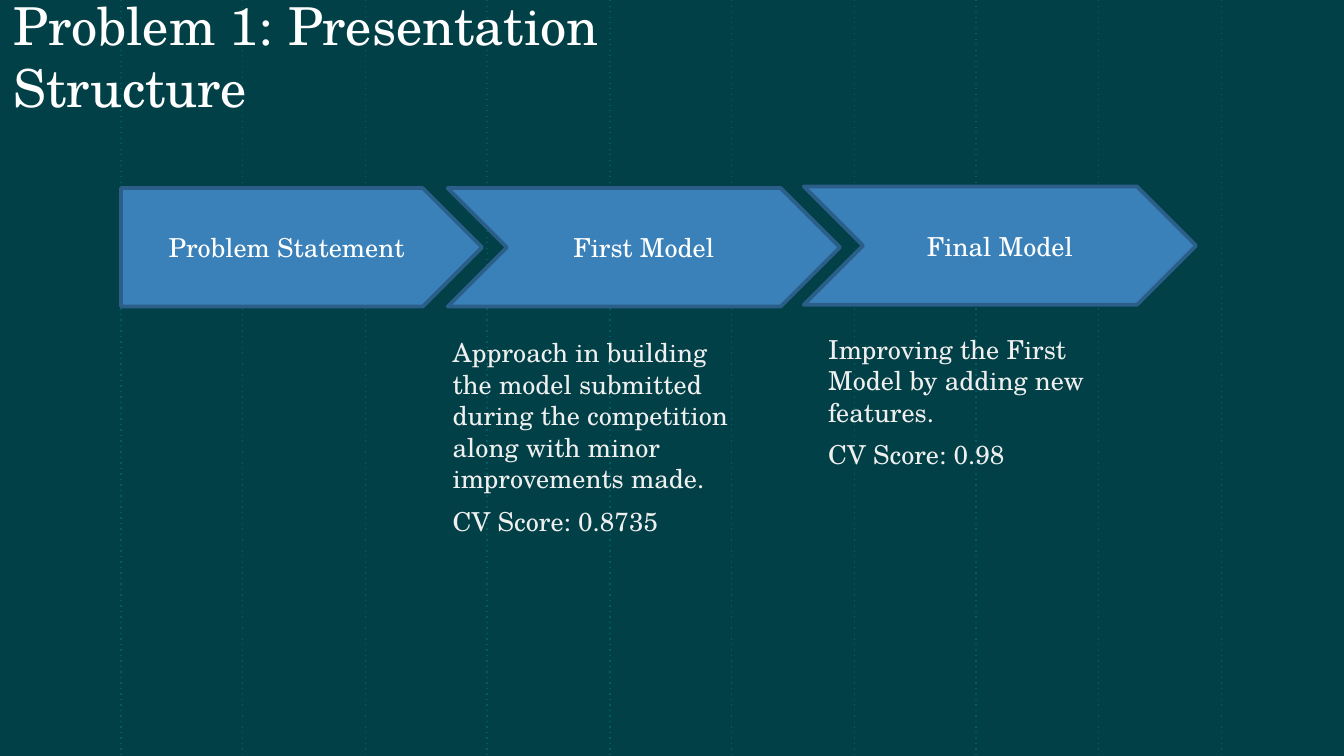
import pptx
import pptx.util
import pptx.dml.color
import pptx.enum.dml
import pptx.enum.shapes
import pptx.enum.text
import pptx.oxml.ns
import lxml.etree

EMU_PER_PX = 5715
FONT = "TeX Gyre Schola"
BACKGROUND = "004046"
GUIDE = "005C65"
STEP_FILL = "3A81BA"
STEP_LINE = "2B5F8A"
WHITE = "FFFFFF"
BODY_TEXT = "EFEFEF"
PLATE = pptx.enum.shapes.MSO_SHAPE.PENTAGON
CHEVRON = pptx.enum.shapes.MSO_SHAPE.CHEVRON

STEPS = [
    (PLATE, (144, 224, 430, 141), "Problem Statement"),
    (CHEVRON, (533, 224, 467, 141), "First Model"),
    (CHEVRON, (957, 222, 467, 141), "Final Model"),
]
NOTES = [
    ((510, 385, 397, 354), [
        "Approach in building the model submitted during the competition "
        "along with minor improvements made.",
        "CV Score: 0.8735",
    ]),
    ((957, 381, 397, 189), [
        "Improving the First Model by adding new features.",
        "CV Score: 0.98",
    ]),
]


def px(length):
    """Turn px into EMU."""
    return pptx.util.Emu(length * EMU_PER_PX)


def color(value):
    """Turn a hex string into a colour."""
    return pptx.dml.color.RGBColor.from_string(value)


def add_run(paragraph, text, size, value):
    """Add one formatted run to a paragraph."""
    run = paragraph.add_run()
    run.text = text
    run.font.name = FONT
    run.font.size = pptx.util.Pt(size)
    run.font.color.rgb = color(value)


def set_frame(frame, anchor, left_inset=16):
    """Set wrapping, insets and anchor of a text frame."""
    frame.word_wrap = True
    frame.auto_size = pptx.enum.text.MSO_AUTO_SIZE.NONE
    frame.vertical_anchor = anchor
    frame.margin_left = px(left_inset)
    frame.margin_right = frame.margin_top = frame.margin_bottom = px(16)


def add_guides(slide, box):
    """Put ten evenly spaced dotted vertical guides on the slide master."""
    left, top, width, height = box
    master_tree = slide.slide_layout.slide_master.shapes.element
    for index in range(10):
        x = px(left + index * width // 9)
        guide = slide.shapes.add_connector(
            pptx.enum.shapes.MSO_CONNECTOR.STRAIGHT, x, px(top), x, px(top + height))
        guide.line.color.rgb = color(GUIDE)
        guide.line.width = pptx.util.Pt(0.75)
        guide.line.dash_style = pptx.enum.dml.MSO_LINE.ROUND_DOT
        guide.element.find(".//" + pptx.oxml.ns.qn("a:prstDash")).set("val", "dot")
        guide.element.find(".//" + pptx.oxml.ns.qn("p:cNvPr")).set("id", str(100 + index))
        properties = guide.element.find(pptx.oxml.ns.qn("p:spPr"))
        lxml.etree.SubElement(properties, pptx.oxml.ns.qn("a:effectLst"))
        master_tree.insert(2 + index, guide.element)


def place_title(slide, box, text):
    """Move, format and fill the title placeholder."""
    title = slide.shapes.title
    title.left, title.top, title.width, title.height = map(px, box)
    set_frame(title.text_frame, pptx.enum.text.MSO_ANCHOR.BOTTOM)
    paragraph = title.text_frame.paragraphs[0]
    paragraph.alignment = pptx.enum.text.PP_ALIGN.LEFT
    add_run(paragraph, text, 28, WHITE)


def add_step(slide, kind, box, text):
    """Add one labelled arrow of the process."""
    shape = slide.shapes.add_shape(kind, *map(px, box))
    shape.shadow.inherit = False
    shape.fill.solid()
    shape.fill.fore_color.rgb = color(STEP_FILL)
    shape.line.color.rgb = color(STEP_LINE)
    shape.line.width = pptx.util.Pt(2)
    shape.text_frame.vertical_anchor = pptx.enum.text.MSO_ANCHOR.MIDDLE
    paragraph = shape.text_frame.paragraphs[0]
    paragraph.alignment = pptx.enum.text.PP_ALIGN.CENTER
    add_run(paragraph, text, 14, WHITE)


def add_note(slide, box, texts):
    """Add the explanation below a step, one paragraph per text."""
    frame = slide.shapes.add_textbox(*map(px, box)).text_frame
    set_frame(frame, pptx.enum.text.MSO_ANCHOR.TOP, left_inset=29)
    for index, text in enumerate(texts):
        paragraph = frame.add_paragraph() if index else frame.paragraphs[0]
        paragraph.space_before = pptx.util.Pt(6)
        add_run(paragraph, text, 14, BODY_TEXT)


def main():
    """Build and save the slide."""
    presentation = pptx.Presentation()
    presentation.slide_width = px(1600)
    presentation.slide_height = px(900)
    slide = presentation.slides.add_slide(presentation.slide_layouts[5])
    slide.background.fill.solid()
    slide.background.fill.fore_color.rgb = color(BACKGROUND)
    add_guides(slide, (144, 0, 1310, 900))
    place_title(slide, (0, 32, 981, 125), "Problem 1: Presentation Structure")
    for kind, box, text in STEPS:
        add_step(slide, kind, box, text)
    for box, texts in NOTES:
        add_note(slide, box, texts)
    presentation.save("out.pptx")


if __name__ == "__main__":
    main()
